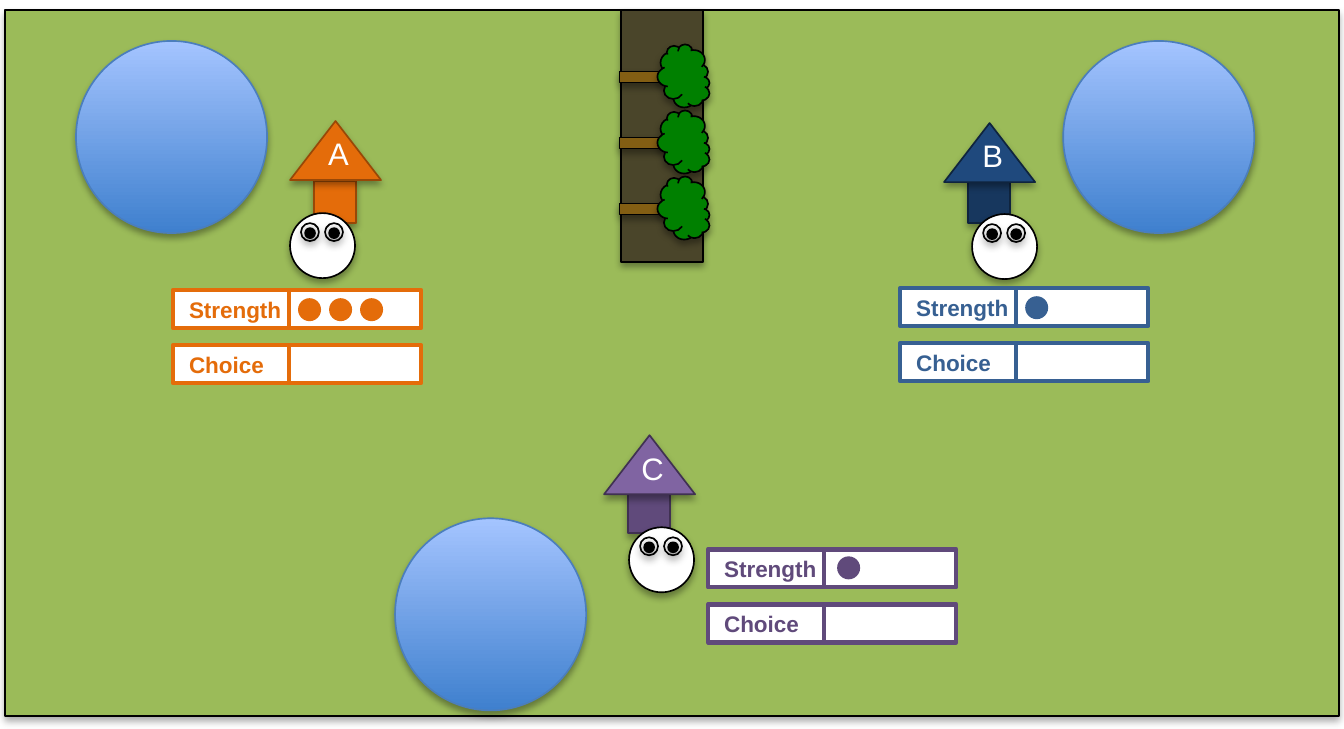
from dataclasses import dataclass

from lxml import etree
from pptx import Presentation
from pptx import util as u
from pptx.dml.color import RGBColor
from pptx.enum import shapes, text
from pptx.oxml import ns

SCALE = 914400 / 161.9
KIND = shapes.MSO_SHAPE


@dataclass(frozen=True)
class Theme:
    """Colours, type sizes and line widths of the game board."""

    font: str = "Arial"
    label_size: float = 10
    letter_size: float = 13.8
    outline: float = 0.75
    divider: float = 1.5
    frame: float = 2
    white: str = "FFFFFF"
    black: str = "000000"
    grass: str = "9BBB59"
    soil: str = "4A452A"
    trunk: str = "835E13"
    leaves: str = "008000"
    pond_dark: str = "3F80CE"
    pond_light: str = "A4C4FF"
    pond_edge: str = "4B7EBC"


THEME = Theme()


@dataclass(frozen=True)
class Player:
    """One player's colours, strength and the top-left corners of its parts."""

    letter: str
    strength: int
    roof_color: str
    wall_color: str
    edge_color: str
    panel_color: str
    roof: tuple
    wall: tuple
    face: tuple
    panel: tuple
    dots: tuple


PLAYERS = (
    Player("A", 3, "E46C0A", "E46C0A", "984807", "E46C0A",
           (290, 121), (314, 181), (290, 213), (173, 290), (298, 298)),
    Player("C", 1, "8064A2", "604A7B", "403152", "604A7B",
           (604, 435), (628, 491), (629, 527), (708, 549), (837, 556)),
    Player("B", 1, "1F497D", "17375E", "0F243E", "376092",
           (944, 123), (968, 181), (972, 214), (900, 288), (1025, 296)),
)
PONDS = ((76, 41), (395, 518), (1063, 41))


def px(length):
    """Turn pixels into EMU."""
    return u.Emu(round(length * SCALE))


def rgb(color):
    """Turn a hex string into a colour."""
    return RGBColor.from_string(color)


def add_shadow(shape):
    """Give a shape the soft shadow that falls straight down."""
    effects = shape._element.spPr.find(ns.qn("a:effectLst"))
    shadow = etree.SubElement(effects, ns.qn("a:outerShdw"), blurRad="39370",
                              dist="22860", dir="5400000", rotWithShape="0")
    tint = etree.SubElement(shadow, ns.qn("a:srgbClr"), val=THEME.black)
    etree.SubElement(tint, ns.qn("a:alpha"), val="35000")


def add_form(parent, kind, box, fill=None, line=None, width=THEME.outline, shadow=True):
    """Add a preset shape with a plain fill, outline and optional shadow."""
    form = parent.add_shape(kind, *map(px, box))
    form.shadow.inherit = False
    if fill:
        form.fill.solid()
        form.fill.fore_color.rgb = rgb(fill)
    else:
        form.fill.background()
    if line:
        form.line.color.rgb = rgb(line)
        form.line.width = u.Pt(width)
    else:
        form.line.fill.background()
    if shadow:
        add_shadow(form)
    return form


def write(form, wording, size, color, align, bold=False):
    """Set and format the single line of wording in a shape."""
    form.text_frame.text = wording
    line = form.text_frame.paragraphs[0]
    line.alignment = align
    font = line.runs[0].font
    font.name, font.size, font.bold = THEME.font, u.Pt(size), bold
    font.color.rgb = rgb(color)


def add_pond(board, left, top):
    """Add a round pond shaded from light to dark."""
    pond = add_form(board, KIND.OVAL, (left, top, 191, 192), line=THEME.pond_edge)
    pond.fill.gradient()
    pond.fill.gradient_angle = 90
    for stop, color in zip(pond.fill.gradient_stops, (THEME.pond_dark, THEME.pond_light)):
        stop.color.rgb = rgb(color)


def add_tree(board, left, top):
    """Add a tree lying on its side."""
    tree = board.add_group_shape().shapes
    trunk = add_form(tree, KIND.RECTANGLE, (left, top, 11, 60), THEME.trunk, THEME.black)
    crown = add_form(tree, KIND.CLOUD, (left + 8, top + 3, 63, 52), THEME.leaves, THEME.black)
    trunk.rotation = crown.rotation = 90


def add_house(board, player):
    """Add a player's house with its letter on the roof."""
    add_form(board, KIND.RECTANGLE, (*player.wall, 42, 42), player.wall_color, player.edge_color)
    roof = add_form(board, KIND.ISOSCELES_TRIANGLE, (*player.roof, 91, 59),
                    player.roof_color, player.edge_color)
    frame = roof.text_frame
    frame.vertical_anchor = text.MSO_ANCHOR.BOTTOM
    frame.margin_left, frame.margin_right = px(6), 0
    frame.margin_top, frame.margin_bottom = 0, px(8)
    write(roof, player.letter, THEME.letter_size, THEME.white, text.PP_ALIGN.CENTER)


def add_face(board, left, top):
    """Add a round white face with two eyes."""
    face = board.add_group_shape().shapes
    add_form(face, KIND.OVAL, (left, top, 65, 65), THEME.white, THEME.black)
    for eye in (left + 11, left + 35):
        add_form(face, KIND.OVAL, (eye, top + 10, 18, 18), line=THEME.black)
        add_form(face, KIND.OVAL, (eye + 4, top + 15, 10, 10), THEME.black, THEME.black)


def add_field(board, wording, left, top, color):
    """Add a labelled box with a divider after the label."""
    field = add_form(board, KIND.RECTANGLE, (left, top, 248, 38), THEME.white, color,
                     THEME.frame, shadow=False)
    field.text_frame.margin_left = px(16)
    field.text_frame.vertical_anchor = text.MSO_ANCHOR.MIDDLE
    write(field, wording, THEME.label_size, color, text.PP_ALIGN.LEFT, bold=True)
    divider = board.add_connector(shapes.MSO_CONNECTOR.STRAIGHT, px(left + 116), px(top),
                                  px(left + 116), px(top + 38))
    divider.line.color.rgb = rgb(color)
    divider.line.width = u.Pt(THEME.divider)
    etree.SubElement(divider._element.spPr, ns.qn("a:effectLst"))


def add_panel(board, player):
    """Add a player's strength and choice fields with the strength dots."""
    left, top = player.panel
    for row, wording in enumerate(("Strength", "Choice")):
        add_field(board, wording, left, top + 55 * row, player.panel_color)
    left, top = player.dots
    for step in range(player.strength):
        add_form(board, KIND.OVAL, (left + 31 * step, top, 23, 23),
                 player.panel_color, shadow=False)


def main():
    """Build the game board slide."""
    deck = Presentation()
    deck.slide_width, deck.slide_height = u.Inches(8.3), u.Inches(4.5)
    board = deck.slides.add_slide(deck.slide_layouts[6]).shapes
    add_form(board, KIND.RECTANGLE, (5, 10, 1334, 706), THEME.grass, THEME.black)
    for pond in PONDS:
        add_pond(board, *pond)
    add_form(board, KIND.RECTANGLE, (621, 10, 82, 252), THEME.soil, THEME.black)
    for row in range(3):
        add_tree(board, 644, 47 + 66 * row)
    for player in PLAYERS:
        add_house(board, player)
        add_face(board, *player.face)
        add_panel(board, player)
    deck.save("out.pptx")


main()
